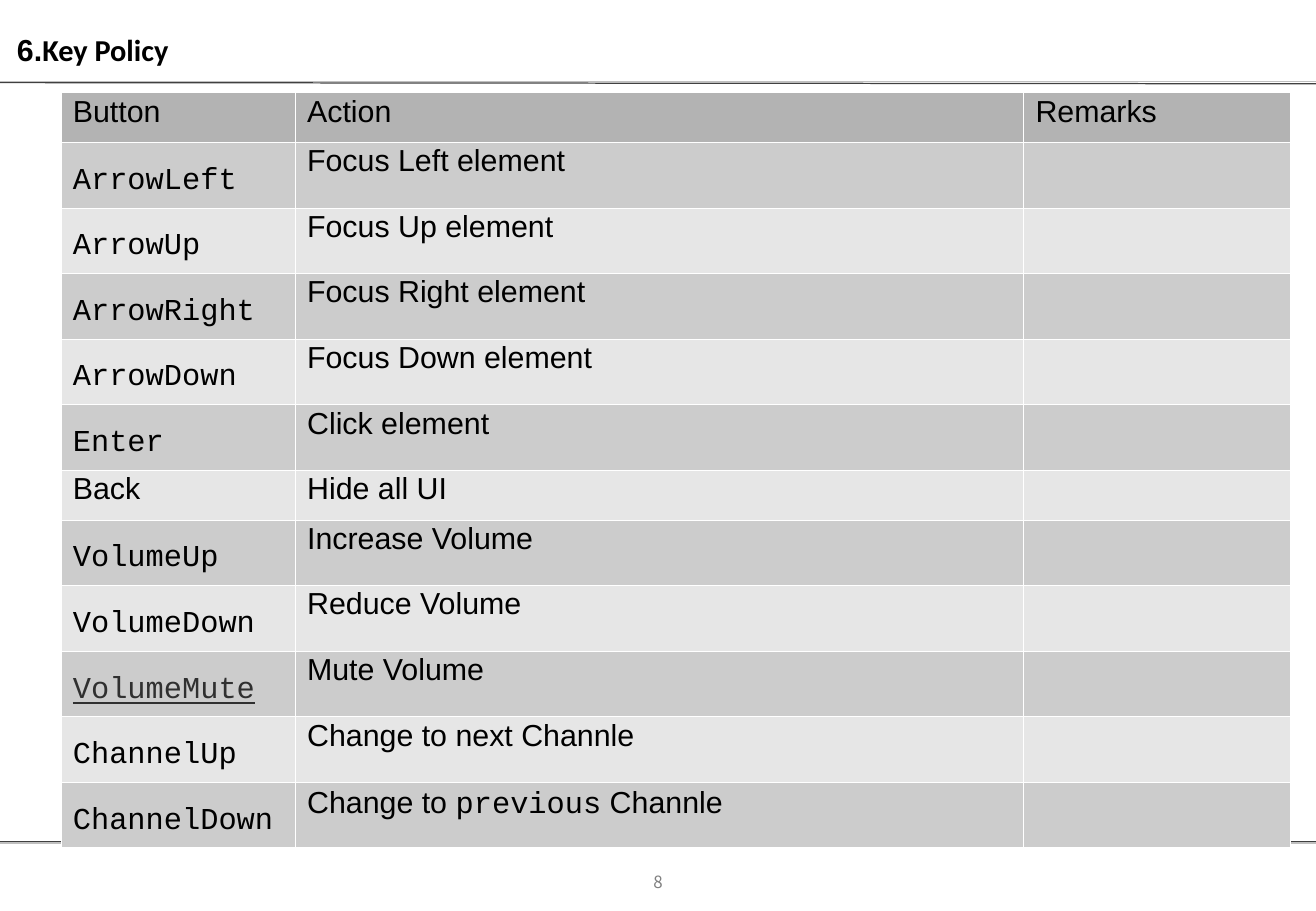
from lxml.etree import SubElement
from pptx import Presentation
from pptx.dml.color import RGBColor
from pptx.enum.shapes import MSO_CONNECTOR
from pptx.enum.text import MSO_ANCHOR, PP_ALIGN
from pptx.oxml.ns import qn
from pptx.util import Inches, Pt

BLACK = RGBColor(0x00, 0x00, 0x00)
DARK_RULE = RGBColor(0x40, 0x40, 0x40)
LIGHT_RULE = RGBColor(0xBF, 0xBF, 0xBF)
NUMBER_GRAY = RGBColor(0x7F, 0x7F, 0x7F)
UNDERLINED_GRAY = RGBColor(0x30, 0x30, 0x30)
HEADER_FILL = RGBColor(0xB3, 0xB3, 0xB3)
BAND_FILLS = (RGBColor(0xCC, 0xCC, 0xCC), RGBColor(0xE6, 0xE6, 0xE6))

SANS, MONO = "Arial", "Courier New"
SLIDE_WIDTH, SLIDE_HEIGHT = 10.84, 7.5
COLUMN_WIDTHS = (1.93, 6, 2.2)
SHORT_ROW, TALL_ROW = 0.41, 0.54
HEADINGS = ("Button", "Action", "Remarks")
KEY_ACTIONS = (
    ("ArrowLeft", "Focus Left element"),
    ("ArrowUp", "Focus Up element"),
    ("ArrowRight", "Focus Right element"),
    ("ArrowDown", "Focus Down element"),
    ("Enter", "Click element"),
    ("Back", "Hide all UI"),
    ("VolumeUp", "Increase Volume"),
    ("VolumeDown", "Reduce Volume"),
    ("VolumeMute", "Mute Volume"),
    ("ChannelUp", "Change to next Channle"),
    ("ChannelDown", "Change to previous Channle"),
)
SANS_KEYS = {"Back"}
UNDERLINED_KEYS = {"VolumeMute"}
MONO_WORD = "previous"


def add_rule(slide, start_y, end_y, color):
    """Draw a thin rule across the slide."""
    rule = slide.shapes.add_connector(
        MSO_CONNECTOR.STRAIGHT, 0, Inches(start_y), Inches(SLIDE_WIDTH), Inches(end_y))
    rule.line.color.rgb = color
    rule.line.width = Pt(0.75)
    SubElement(rule._element.spPr, qn("a:effectLst"))


def add_frame(slide):
    """Draw the paired rules that close off the heading and the footer."""
    add_rule(slide, 0.68, 0.69, DARK_RULE)
    add_rule(slide, 6.93, 6.93, DARK_RULE)
    add_rule(slide, 0.67, 0.67, LIGHT_RULE)
    add_rule(slide, 6.94, 6.94, LIGHT_RULE)


def add_page_number(slide, left, top, width, height):
    """Place the centred page number in its box."""
    box = slide.shapes.add_textbox(Inches(left), Inches(top), Inches(width), Inches(height))
    frame = box.text_frame
    frame.word_wrap = True
    frame.vertical_anchor = MSO_ANCHOR.MIDDLE
    paragraph = frame.paragraphs[0]
    paragraph.text = "8"
    paragraph.alignment = PP_ALIGN.CENTER
    paragraph.line_spacing = 1.1
    paragraph.font.size = Pt(10)
    paragraph.font.name = "Noto Sans CJK KR"
    paragraph.font.color.rgb = NUMBER_GRAY


def add_title(slide, left, top, width, height):
    """Place the slide heading on the bottom of its box."""
    box = slide.shapes.add_textbox(Inches(left), Inches(top), Inches(width), Inches(height))
    frame = box.text_frame
    frame.word_wrap = True
    frame.vertical_anchor = MSO_ANCHOR.BOTTOM
    frame.margin_left = frame.margin_right = frame.margin_bottom = 0
    paragraph = frame.paragraphs[0]
    paragraph.font.size = Pt(18)
    paragraph.font.bold = True
    paragraph.font.color.rgb = BLACK
    for text, font_name in (("6.", SANS), ("Key Policy", "Calibri")):
        run = paragraph.add_run()
        run.text = text
        run.font.name = font_name


def style_cell(cell, fill_color):
    """Give a cell its fill and hairline white borders."""
    properties = cell._tc.get_or_add_tcPr()
    for side in ("a:lnL", "a:lnR", "a:lnT", "a:lnB"):
        border = SubElement(properties, qn(side), w=str(Pt(0.06)))
        SubElement(SubElement(border, qn("a:solidFill")), qn("a:srgbClr"), val="FFFFFF")
    cell.fill.solid()
    cell.fill.fore_color.rgb = fill_color


def write_cell(cell, text, font_name=SANS, line_spacing=0.87):
    """Write one line in a cell and return its paragraph."""
    paragraph = cell.text_frame.paragraphs[0]
    paragraph.line_spacing = line_spacing
    paragraph.font.size = Pt(18)
    paragraph.font.name = font_name
    paragraph.font.color.rgb = BLACK
    before, word, after = text.partition(MONO_WORD)
    for part in filter(None, (before, word, after)):
        run = paragraph.add_run()
        run.text = part
        if part == MONO_WORD:
            run.font.name = MONO
    return paragraph


def add_key_table(slide, left, top):
    """Build the table of remote keys and their actions."""
    heights = [SHORT_ROW] + [
        SHORT_ROW if key in SANS_KEYS else TALL_ROW for key, _ in KEY_ACTIONS]
    table = slide.shapes.add_table(
        len(heights), len(COLUMN_WIDTHS), Inches(left), Inches(top),
        Inches(sum(COLUMN_WIDTHS)), Inches(sum(heights))).table
    table.first_row = table.horz_banding = False
    for column, width in zip(table.columns, COLUMN_WIDTHS):
        column.width = Inches(width)
    for index, (row, height) in enumerate(zip(table.rows, heights)):
        row.height = Inches(height)
        for cell in row.cells:
            style_cell(cell, BAND_FILLS[(index - 1) % 2] if index else HEADER_FILL)
    for column_index, heading in enumerate(HEADINGS):
        write_cell(table.cell(0, column_index), heading)
    for row_index, (key, action) in enumerate(KEY_ACTIONS, start=1):
        key_style = (SANS, 0.87) if key in SANS_KEYS else (MONO, 1.46)
        paragraph = write_cell(table.cell(row_index, 0), key, *key_style)
        if key in UNDERLINED_KEYS:
            paragraph.font.underline = True
            paragraph.font.color.rgb = UNDERLINED_GRAY
        write_cell(table.cell(row_index, 1), action)


def main():
    """Build the key policy slide and save it."""
    presentation = Presentation()
    presentation.slide_width = Inches(SLIDE_WIDTH)
    presentation.slide_height = Inches(SLIDE_HEIGHT)
    slide = presentation.slides.add_slide(presentation.slide_layouts[6])
    add_frame(slide)
    add_page_number(slide, 4.87, 7.14, 1.1, 0.22)
    add_key_table(slide, 0.5, 0.76)
    add_title(slide, 0.14, -0.31, 9, 0.87)
    presentation.save("out.pptx")


if __name__ == "__main__":
    main()
